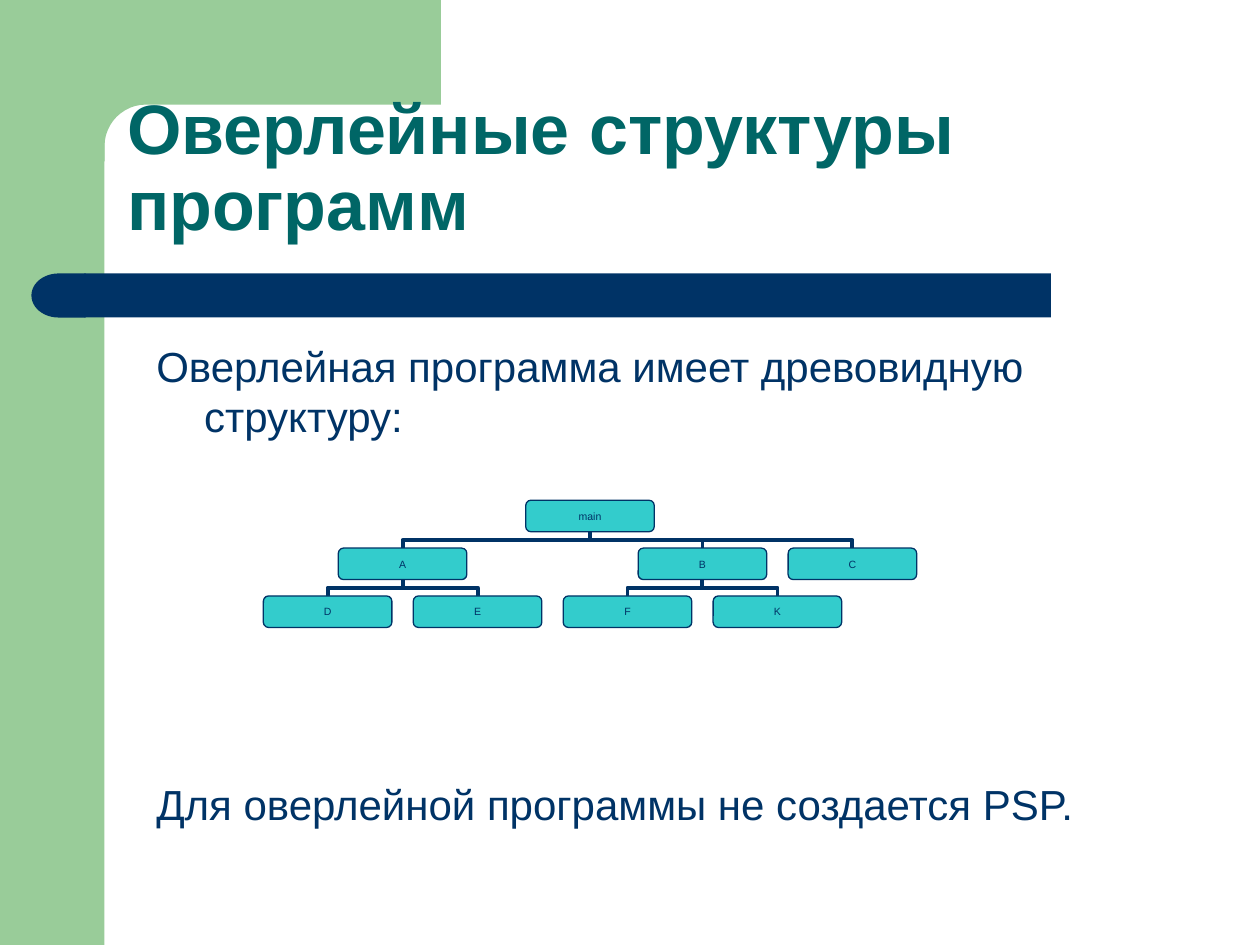
from dataclasses import dataclass
from math import cos, pi, sin

from lxml.etree import SubElement
from pptx import Presentation
from pptx.dml.color import RGBColor
from pptx.enum.shapes import MSO_CONNECTOR, MSO_SHAPE
from pptx.enum.text import MSO_ANCHOR, MSO_AUTO_SIZE, PP_ALIGN
from pptx.oxml.ns import qn
from pptx.util import Inches, Pt

COLORS = {"green": "99CC99", "navy": "003366", "teal": "006666", "node": "33CCCC"}
NODE_WIDTH, NODE_HEIGHT = 1.02, 0.25
FIRST_CENTER, COLUMN_STEP = 2.6, 1.19
TREE_TOP, LEVEL_STEP = 3.97, 0.38


@dataclass(frozen=True)
class Node:
    """A program module, with its column, level and parent module."""

    name: str
    column: float
    level: int
    parent: str = ""

    @property
    def center(self) -> float:
        return FIRST_CENTER + self.column * COLUMN_STEP

    @property
    def top(self) -> float:
        return TREE_TOP + self.level * LEVEL_STEP


NODES = [
    Node("main", 1.75, 0),
    Node("A", 0.5, 1, "main"),
    Node("B", 2.5, 1, "main"),
    Node("C", 3.5, 1, "main"),
    Node("D", 0, 2, "A"),
    Node("E", 1, 2, "A"),
    Node("F", 2, 2, "B"),
    Node("K", 3, 2, "B"),
]


def color(name: str) -> RGBColor:
    return RGBColor.from_string(COLORS[name])


def paint(shape, fill: str) -> None:
    shape.shadow.inherit = False
    shape.fill.solid()
    shape.fill.fore_color.rgb = color(fill)
    shape.line.fill.background()


def add_block(page, kind, left: float, top: float, width: float, height: float, fill: str):
    block = page.shapes.add_shape(kind, Inches(left), Inches(top), Inches(width), Inches(height))
    paint(block, fill)
    return block


def add_corner(page) -> None:
    radius, steps = 0.33, 12
    angles = [pi / 2 * step / steps for step in range(steps + 1)]
    arc = [(1.16 - radius * sin(a), 1.16 - radius * cos(a)) for a in angles]
    points = [(3.5, 0), (3.5, 0.83), *arc, (0.83, 1.28), (0.5, 1.28), (0.5, 0)]
    outline = [(Inches(x), Inches(y)) for x, y in points]
    builder = page.shapes.build_freeform(*outline[0])
    builder.add_line_segments(outline[1:], close=True)
    paint(builder.convert_to_shape(), "green")


def add_branch(page, parent: Node, child: Node) -> None:
    start = parent.top + NODE_HEIGHT
    middle_x, middle_y = (parent.center + child.center) / 2, (start + child.top) / 2
    half_drop, half_span = (child.top - start) / 2, abs(child.center - parent.center) / 2
    to_right = child.center > parent.center
    side = half_drop if to_right else -half_drop
    branch = page.shapes.add_connector(
        MSO_CONNECTOR.ELBOW,
        Inches(middle_x + side), Inches(middle_y - half_span),
        Inches(middle_x - side), Inches(middle_y + half_span),
    )
    branch.line.color.rgb = color("navy")
    branch.line.width = Pt(2.25)
    properties = branch._element.spPr
    properties.find(qn("a:xfrm")).set("rot", "16200000" if to_right else "5400000")
    SubElement(properties, qn("a:effectLst"))


def add_node(page, node: Node) -> None:
    box = add_block(page, MSO_SHAPE.ROUNDED_RECTANGLE, node.center - NODE_WIDTH / 2,
                    node.top, NODE_WIDTH, NODE_HEIGHT, "node")
    box.line.color.rgb = color("navy")
    box.line.width = Pt(0.75)
    frame = box.text_frame
    frame.margin_left = frame.margin_right = frame.margin_top = frame.margin_bottom = 0
    frame.word_wrap = False
    frame.vertical_anchor = MSO_ANCHOR.MIDDLE
    paragraph = frame.paragraphs[0]
    paragraph.text = node.name
    paragraph.alignment = PP_ALIGN.CENTER
    style_font(paragraph, 6, "navy")


def style_font(paragraph, size: float, tint: str, bold: bool = False) -> None:
    font = paragraph.font
    font.name, font.size, font.bold = "Arial", Pt(size), bold
    font.color.rgb = color(tint)


def place(page, holder, left: float, top: float, width: float, height: float):
    holder.left, holder.top = Inches(left), Inches(top)
    holder.width, holder.height = Inches(width), Inches(height)
    page.shapes._spTree.append(holder._element)
    frame = holder.text_frame
    frame.word_wrap = True
    frame.auto_size = MSO_AUTO_SIZE.NONE
    return frame


def fill_title(page) -> None:
    frame = place(page, page.shapes.title, 0.91, 0.91, 7.39, 1.09)
    frame.vertical_anchor = MSO_ANCHOR.BOTTOM
    paragraph = frame.paragraphs[0]
    paragraph.text = "Оверлейные структуры программ"
    paragraph.alignment = PP_ALIGN.LEFT
    paragraph.line_spacing = 0.9
    style_font(paragraph, 40, "teal", bold=True)


def fill_body(page) -> None:
    frame = place(page, page.placeholders[1], 1.14, 2.65, 7.56, 4.85)
    frame.vertical_anchor = MSO_ANCHOR.TOP
    texts = [
        ("Оверлейная программа имеет древовидную структуру:", 0),
        ("Для оверлейной программы не создается PSP.", 193),
    ]
    for index, (text, gap) in enumerate(texts):
        paragraph = frame.add_paragraph() if index else frame.paragraphs[0]
        paragraph.text = text
        paragraph.space_before = Pt(gap)
        indents = paragraph._p.get_or_add_pPr()
        indents.set("marL", str(Inches(0.38)))
        indents.set("indent", str(-Inches(0.38)))
        SubElement(indents, qn("a:buNone"))
        style_font(paragraph, 24, "navy")


def main() -> None:
    """Build the slide about overlay program structures."""
    deck = Presentation()
    deck.slide_width, deck.slide_height = Inches(10), Inches(7.5)
    page = deck.slides.add_slide(deck.slide_layouts[1])
    add_block(page, MSO_SHAPE.RECTANGLE, 0, 0, 0.83, 7.5, "green")
    add_corner(page)
    add_block(page, MSO_SHAPE.RECTANGLE, 0.67, 2.17, 7.67, 0.35, "navy")
    cap = add_block(page, MSO_SHAPE.FLOWCHART_DELAY, 0.25, 2.17, 0.43, 0.35, "navy")
    cap._element.spPr.find(qn("a:xfrm")).set("flipH", "1")
    fill_title(page)
    fill_body(page)
    modules = {node.name: node for node in NODES}
    for node in NODES:
        if node.parent:
            add_branch(page, modules[node.parent], node)
    for node in NODES:
        add_node(page, node)
    deck.save("out.pptx")


if __name__ == "__main__":
    main()
